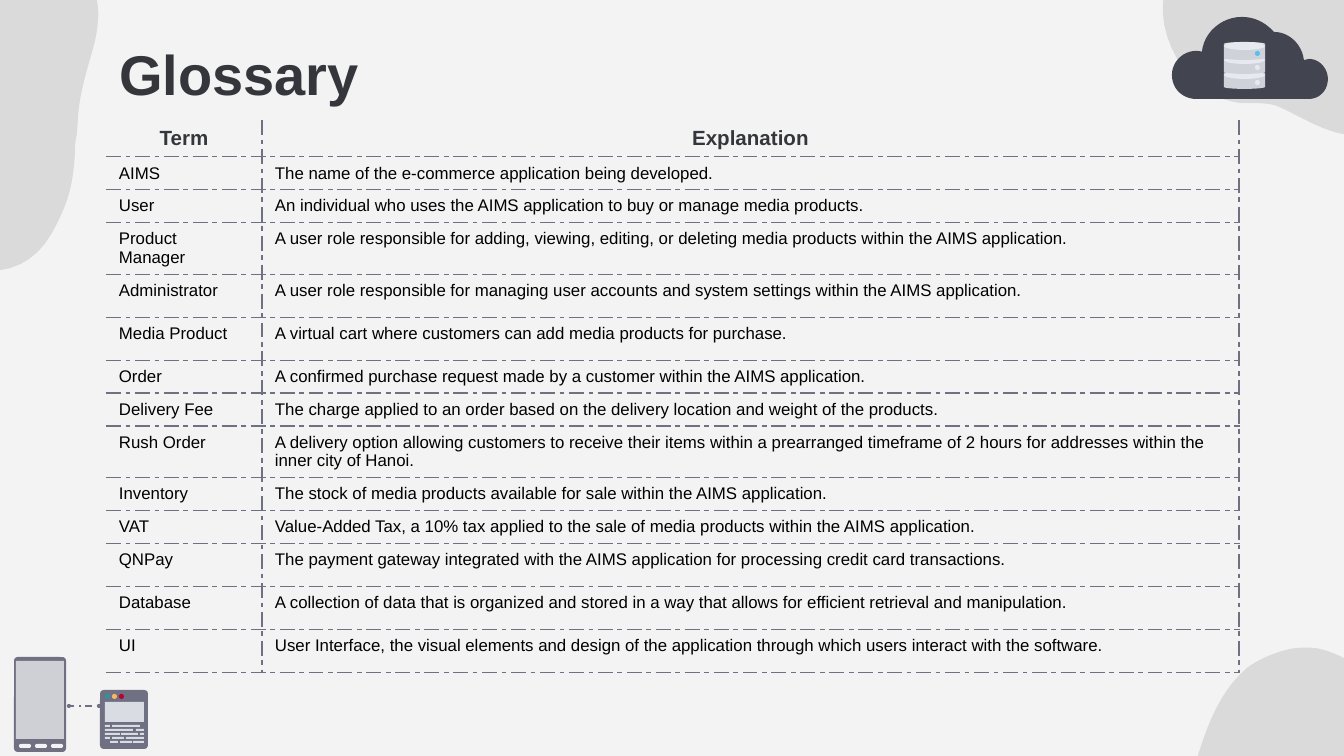
"""Build the glossary slide with its table, cloud and device illustrations."""
import lxml.etree
import pptx
import pptx.dml.color
import pptx.enum.dml
import pptx.enum.shapes
import pptx.enum.text
import pptx.oxml.ns
import pptx.util

SCALE = 914400 / 134.4
COLORS = {
    "background": "F3F3F3", "heading": "35363B", "text": "000000",
    "line": "6F7082", "cloud": "42444F", "disk": "CFD3D9", "lid": "E6EAF0",
    "cyan": "55C0ED", "teal": "34909D", "yellow": "F8B85E", "red": "BA0034",
    "panel": "D9DDE3", "screen": "CED0D6",
}
SHAPES = pptx.enum.shapes.MSO_SHAPE
ALIGN = pptx.enum.text.PP_ALIGN
ANCHOR = pptx.enum.text.MSO_ANCHOR

BLOBS = [
    [(1382, 129), (1378, 132), (1374, 133), (1368, 134), (1335, 141), (1305, 118), (1277, 106),
     (1262, 101), (1247, 105), (1234, 102), (1185, 94), (1154, 31), (1165, -8),
     (1172, -27), (1183, -42), (1200, -51), (1212, -58), (1226, -62), (1243, -65),
     (1285, -70), (1314, -77), (1360, -47), (1406, -19), (1418, 47), (1410, 93),
     (1410, 93), (1403, 118), (1382, 129)],
    [(1290, 649), (1278, 652), (1262, 657), (1247, 668), (1215, 695), (1203, 739), (1192, 775),
     (1181, 810), (1196, 843), (1226, 853), (1234, 857), (1241, 857), (1246, 856),
     (1265, 853), (1281, 837), (1310, 832), (1314, 832), (1332, 829), (1336, 828),
     (1356, 825), (1368, 821), (1388, 802), (1418, 775), (1415, 723), (1384, 688),
     (1352, 655), (1320, 649), (1320, 649), (1320, 649), (1308, 646), (1290, 649)],
    [(-102, 116), (-101, 97), (-97, 73), (-86, 51), (-62, -1), (-19, -24), (16, -46),
     (51, -66), (83, -50), (95, -8), (98, 3), (99, 12), (98, 20),
     (97, 48), (82, 73), (78, 116), (78, 122), (77, 129), (77, 134),
     (75, 141), (75, 148), (75, 153), (73, 183), (70, 200), (52, 233),
     (27, 278), (-26, 284), (-60, 243), (-95, 203), (-102, 157), (-102, 157),
     (-102, 157), (-105, 140), (-102, 116)],
]
CLOUD = [
    (1309, 59), (1308, 59), (1306, 60), (1304, 60), (1302, 44), (1289, 32), (1274, 32),
    (1266, 23), (1255, 17), (1242, 17), (1222, 17), (1204, 32), (1202, 52),
    (1200, 51), (1198, 51), (1196, 51), (1183, 51), (1172, 62), (1172, 75),
    (1172, 89), (1183, 99), (1196, 99), (1196, 99), (1309, 99), (1309, 99),
    (1320, 99), (1328, 90), (1328, 79), (1328, 69), (1320, 59), (1309, 59),
]
KEY_ROWS = [
    [(105, 5), (112, 28)],
    [(105, 28), (136, 8)],
    [(105, 15), (121, 17), (140, 4)],
    [(105, 5), (112, 12), (126, 18)],
    [(110, 8), (120, 12), (133, 11)],
]
GLOSSARY = [
    (28, "Term", "Explanation"),
    (26, "AIMS", "The name of the e-commerce application being developed."),
    (26, "User", "An individual who uses the AIMS application to buy or manage media products."),
    (43, "Product Manager", "A user role responsible for adding, viewing, editing, or deleting "
     "media products within the AIMS application."),
    (43, "Administrator", "A user role responsible for managing user accounts and system "
     "settings within the AIMS application."),
    (43, "Media Product", "A virtual cart where customers can add media products for purchase."),
    (26, "Order", "A confirmed purchase request made by a customer within the AIMS application."),
    (26, "Delivery Fee", "The charge applied to an order based on the delivery location and "
     "weight of the products."),
    (43, "Rush Order", "A delivery option allowing customers to receive their items within a "
     "prearranged timeframe of 2 hours for addresses within the inner city of Hanoi."),
    (26, "Inventory", "The stock of media products available for sale within the AIMS application."),
    (26, "VAT", "Value-Added Tax, a 10% tax applied to the sale of media products within the "
     "AIMS application."),
    (43, "QNPay", "The payment gateway integrated with the AIMS application for processing "
     "credit card transactions."),
    (43, "Database", "A collection of data that is organized and stored in a way that allows for "
     "efficient retrieval and manipulation."),
    (43, "UI", "User Interface, the visual elements and design of the application through which "
     "users interact with the software."),
]


def px(value):
    return pptx.util.Emu(round(value * SCALE))


def rgb(name):
    return pptx.dml.color.RGBColor.from_string(COLORS[name])


def assign(target, values):
    for name, value in values.items():
        setattr(target, name, value)


def child(parent, tag, **attributes):
    return lxml.etree.SubElement(parent, pptx.oxml.ns.qn(tag), attributes)


def trace(points, steps=12):
    for first in range(0, len(points) - 3, 3):
        for step in range(1, steps + 1):
            t = step / steps
            weights = ((1 - t) ** 3, 3 * t * (1 - t) ** 2, 3 * t * t * (1 - t), t ** 3)
            yield tuple(px(sum(w * point[axis] for w, point in zip(weights, points[first:first + 4])))
                        for axis in (0, 1))


class Deck:
    """Holds the style and the current slide."""

    font = "Arial"

    def __init__(self, slide):
        self.slide = slide
        slide.background.fill.solid()
        slide.background.fill.fore_color.rgb = rgb("background")

    def label(self, frame, text, size, color, bold=False, align=ALIGN.LEFT):
        paragraph = frame.paragraphs[0]
        paragraph.text = text
        paragraph.alignment = align
        assign(paragraph.font, {"name": self.font, "size": pptx.util.Pt(size), "bold": bold})
        paragraph.font.color.rgb = rgb(color)

    def title(self, text, left, top, width, height):
        shape = self.slide.shapes.title
        assign(shape, {"left": px(left), "top": px(top), "width": px(width), "height": px(height)})
        assign(shape.text_frame, {
            "margin_left": px(13), "margin_right": px(13), "margin_top": px(21), "margin_bottom": 0,
            "vertical_anchor": ANCHOR.TOP, "word_wrap": True,
            "auto_size": pptx.enum.text.MSO_AUTO_SIZE.NONE})
        self.label(shape.text_frame, text, 30, "heading", True)

    def paint(self, shape, color, alpha=None):
        shape.shadow.inherit = False
        shape.fill.solid()
        shape.fill.fore_color.rgb = rgb(color)
        shape.line.fill.background()
        if alpha:
            fill = shape.element.spPr.find(".//" + pptx.oxml.ns.qn("a:srgbClr"))
            child(fill, "a:alpha", val=str(alpha * 1000))

    def shape(self, kind, color, left, top, width, height, adjustment=None):
        shape = self.slide.shapes.add_shape(kind, px(left), px(top), px(width), px(height))
        if adjustment is not None:
            shape.adjustments[0] = adjustment
        self.paint(shape, color)

    def outline(self, points, color, alpha=None):
        builder = self.slide.shapes.build_freeform(px(points[0][0]), px(points[0][1]))
        builder.add_line_segments(list(trace(points)), close=True)
        self.paint(builder.convert_to_shape(), color, alpha)

    def connector(self, left, top, right, bottom):
        connector = self.slide.shapes.add_connector(
            pptx.enum.shapes.MSO_CONNECTOR.STRAIGHT, px(left), px(top), px(right), px(bottom))
        connector.line.color.rgb = rgb("line")
        assign(connector.line, {"width": pptx.util.Pt(0.86),
                                "dash_style": pptx.enum.dml.MSO_LINE.DASH_DOT})
        child(connector.element.spPr, "a:effectLst")

    def borders(self, cell, sides):
        properties = cell._tc.get_or_add_tcPr()
        for side in "LRTB":
            line = child(properties, f"a:ln{side}", w="9525")
            if side in sides:
                child(child(line, "a:solidFill"), "a:srgbClr", val=COLORS["line"])
                child(line, "a:prstDash", val="dashDot")
            else:
                child(line, "a:noFill")

    def table(self, rows, widths, left, top):
        heights = [row[0] for row in rows]
        table = self.slide.shapes.add_table(
            len(rows), len(widths), px(left), px(top), px(sum(widths)), px(sum(heights))).table
        for column, width in zip(table.columns, widths):
            column.width = px(width)
        for i, (height, *texts) in enumerate(rows):
            table.rows[i].height = px(height)
            for j, text in enumerate(texts):
                cell = table.cell(i, j)
                self.borders(cell, "RB" + "T" * (i > 0) + "L" * (j > 0))
                cell.fill.background()
                assign(cell, {"margin_left": px(13 if i else 7), "margin_right": px(18 if i else 7),
                              "margin_top": px(7), "margin_bottom": px(7),
                              "vertical_anchor": ANCHOR.TOP if i else ANCHOR.MIDDLE})
                style = (9, "text") if i else (11, "heading", True, ALIGN.CENTER)
                self.label(cell.text_frame, text, *style)


def draw_cloud(deck):
    deck.outline(CLOUD, "cloud")
    for top in (71, 56, 42):
        deck.shape(SHAPES.CAN, "disk", 1224, top, 41, 18, 0.22)
        deck.shape(SHAPES.OVAL, "lid", 1224, top, 41, 8)
    for top, color in ((51, "cyan"), (65, "lid"), (80, "lid")):
        deck.shape(SHAPES.OVAL, color, 1255, top, 5, 5)


def draw_devices(deck):
    deck.shape(SHAPES.ROUNDED_RECTANGLE, "line", 100, 690, 48, 59, 0.08)
    for i, color in enumerate(("teal", "yellow", "red")):
        deck.shape(SHAPES.OVAL, color, 105 + 7 * i, 694, 5, 5)
    deck.shape(SHAPES.RECTANGLE, "panel", 105, 702, 39, 20)
    for i, keys in enumerate(KEY_ROWS):
        for left, width in keys:
            deck.shape(SHAPES.RECTANGLE, "panel", left, 725 + 4 * i, width, 2)
    deck.shape(SHAPES.ROUNDED_RECTANGLE, "line", 14, 657, 52, 95, 0.07)
    deck.shape(SHAPES.RECTANGLE, "screen", 16, 661, 48, 78)
    for i in range(3):
        deck.shape(SHAPES.ROUNDED_RECTANGLE, "background", 19 + 16 * i, 744, 12, 4, 0.5)
    deck.connector(68, 706, 99, 706)
    for left in (67, 97):
        deck.shape(SHAPES.OVAL, "line", left, 704, 4, 4)


def main():
    presentation = pptx.Presentation()
    assign(presentation, {"slide_width": px(1344), "slide_height": px(756)})
    deck = Deck(presentation.slides.add_slide(presentation.slide_layouts[5]))
    for blob in BLOBS:
        deck.outline(blob, "text", 10)
    draw_devices(deck)
    draw_cloud(deck)
    deck.title("Glossary", 106, 19, 1133, 85)
    deck.table(GLOSSARY, (156, 977), 106, 120)
    presentation.save("out.pptx")


if __name__ == "__main__":
    main()
